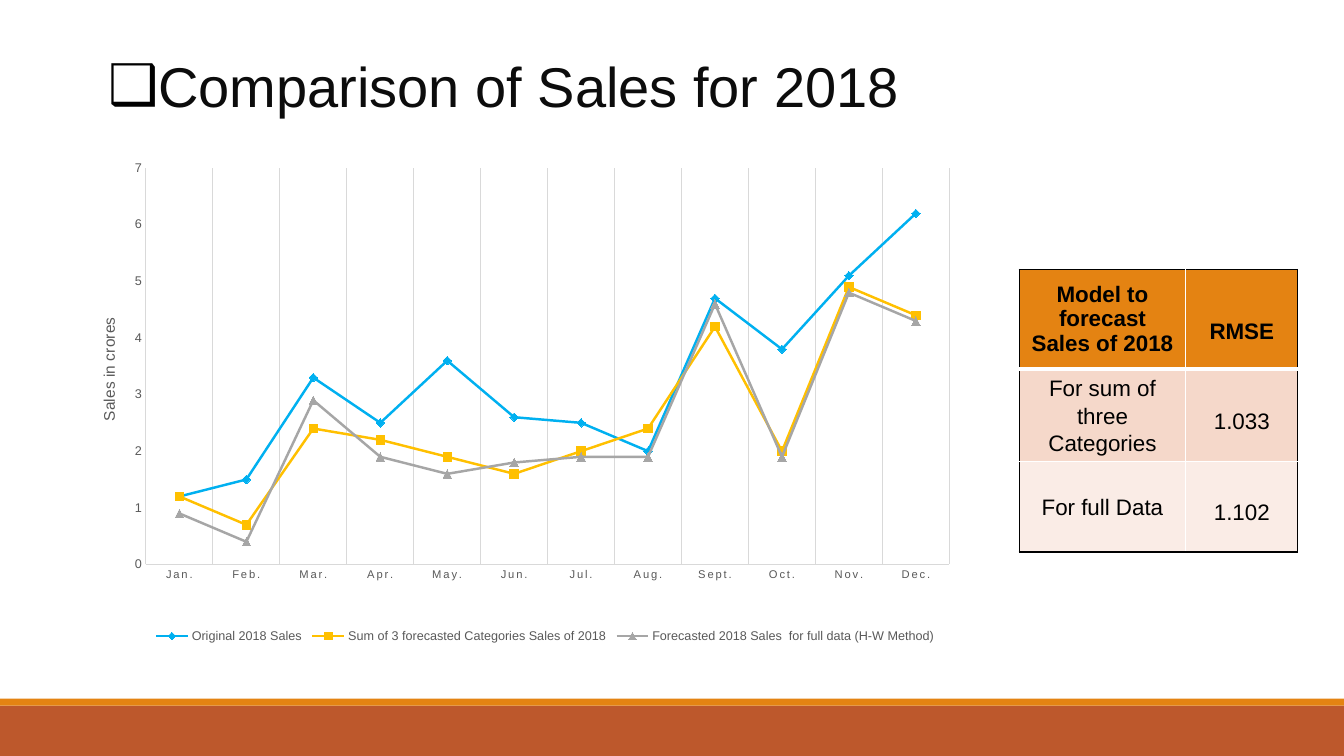
from pptx import Presentation
from pptx import util as u
from pptx.chart.data import CategoryChartData
from pptx.dml.color import RGBColor
from pptx.enum import chart as ch, shapes, text
from pptx.oxml import parse_xml
from pptx.oxml.ns import nsdecls

Pt = u.Pt
BLACK = RGBColor(0, 0, 0)
WHITE = RGBColor(0xFF, 0xFF, 0xFF)
INK = RGBColor(0x0C, 0x0C, 0x0C)
GREY = RGBColor(0x59, 0x59, 0x59)
RULE = RGBColor(0xD9, 0xD9, 0xD9)
RUST = RGBColor(0xBD, 0x58, 0x2C)
ORANGE = RGBColor(0xE4, 0x83, 0x12)
PEACH = RGBColor(0xF5, 0xD8, 0xCA)
PALE = RGBColor(0xFA, 0xEC, 0xE6)
BLUE = RGBColor(0x00, 0xB0, 0xF0)
GOLD = RGBColor(0xFF, 0xC0, 0x00)
SILVER = RGBColor(0xA6, 0xA6, 0xA6)
LIGHT = RGBColor(0xBF, 0xBF, 0xBF)

MONTHS = ["Jan.", "Feb.", "Mar.", "Apr.", "May.", "Jun.",
          "Jul.", "Aug.", "Sept.", "Oct.", "Nov.", "Dec."]
MARK = ch.XL_MARKER_STYLE
# Name, values, line colour, marker, marker colour
SALES = [
    ("Original 2018 Sales",
     [1.2, 1.5, 3.3, 2.5, 3.6, 2.6, 2.5, 2, 4.7, 3.8, 5.1, 6.2],
     BLUE, MARK.DIAMOND, BLUE),
    ("Sum of 3 forecasted Categories Sales of 2018",
     [1.2, 0.7, 2.4, 2.2, 1.9, 1.6, 2, 2.4, 4.2, 2, 4.9, 4.4],
     GOLD, MARK.SQUARE, GOLD),
    ("Forecasted 2018 Sales  for full data (H-W Method)",
     [0.9, 0.4, 2.9, 1.9, 1.6, 1.8, 1.9, 1.9, 4.6, 1.9, 4.8, 4.3],
     SILVER, MARK.TRIANGLE, LIGHT),
]
# Fill, label, value, line spacing of each
ERRORS = [
    (ORANGE, ("Model to forecast Sales of 2018", "RMSE"), (1, 1)),
    (PEACH, ("For sum of three Categories", "1.033"), (1.11, 1.5)),
    (PALE, ("For full Data", "1.102"), (1.11, 1.5)),
]


class Sheet:
    face = "Arial"

    def __init__(self, slide):
        self.slide = slide

    def font(self, font, size, color, bold=False):
        font.name, font.size, font.bold = self.face, Pt(size), bold
        font.color.rgb = color

    def bar(self, top, height, color):
        bar = self.slide.shapes.add_shape(
            shapes.MSO_SHAPE.RECTANGLE, 0, Pt(top), Pt(960), Pt(height))
        bar.shadow.inherit = False
        bar.fill.solid()
        bar.fill.fore_color.rgb = color
        bar.line.fill.background()

    def title(self, words, x, y, w, h):
        box = self.slide.shapes.title
        box.left, box.top, box.width, box.height = Pt(x), Pt(y), Pt(w), Pt(h)
        frame = box.text_frame
        frame.text = words
        frame.auto_size = text.MSO_AUTO_SIZE.NONE
        frame.vertical_anchor = text.MSO_ANCHOR.MIDDLE
        para = frame.paragraphs[0]
        para.alignment = text.PP_ALIGN.LEFT
        self.font(para.font, 40, INK)
        # Hanging box bullet
        props = para._p.get_or_add_pPr()
        props.set("marL", str(Pt(36)))
        props.set("indent", str(-Pt(36)))
        bullet = (f'<a:buClr {nsdecls("a")}><a:srgbClr val="{BLACK}"/></a:buClr>',
                  f'<a:buFont {nsdecls("a")} typeface="{self.face}"/>',
                  f'<a:buChar {nsdecls("a")} char="❑"/>')
        for spot, xml in enumerate(bullet):
            props.insert(spot, parse_xml(xml))

    def edge(self, cell, side, color, width):
        cell._tc.get_or_add_tcPr().append(parse_xml(
            f'<a:ln{side} {nsdecls("a")} w="{Pt(width)}"><a:solidFill>'
            f'<a:srgbClr val="{color}"/></a:solidFill></a:ln{side}>'))

    def table(self, rows, x, y, widths, heights):
        grid = self.slide.shapes.add_table(
            len(rows), len(widths), Pt(x), Pt(y),
            Pt(sum(widths)), Pt(sum(heights))).table
        for col, width in zip(grid.columns, widths):
            col.width = Pt(width)
        last, end = len(rows) - 1, len(widths) - 1
        for r, (fill, words, gaps) in enumerate(rows):
            grid.rows[r].height = Pt(heights[r])
            for c, word in enumerate(words):
                cell = grid.cell(r, c)
                self.edge(cell, "L", WHITE if c else BLACK, 1)
                self.edge(cell, "R", BLACK if c == end else WHITE, 1)
                self.edge(cell, "T", WHITE if r else BLACK, 3 if r == 1 else 1)
                self.edge(cell, "B", BLACK if r == last else WHITE, 1 if r else 3)
                cell.fill.solid()
                cell.fill.fore_color.rgb = fill
                cell.vertical_anchor = text.MSO_ANCHOR.MIDDLE
                cell.text = word
                para = cell.text_frame.paragraphs[0]
                para.alignment = text.PP_ALIGN.CENTER
                para.line_spacing = gaps[c]
                self.font(para.font, 16, BLACK, r == 0)
        return grid

    def place(self, part, spot, x, y, w=None, h=None, inner=False):
        for old in part.xpath("c:layout"):
            part.remove(old)
        tags = '<c:layoutTarget val="inner"/>' if inner else ""
        tags += '<c:xMode val="edge"/><c:yMode val="edge"/>'
        for name, val in zip("xywh", (x, y, w, h)):
            if val is not None:
                tags += f'<c:{name} val="{val}"/>'
        part.insert(spot, parse_xml(
            f'<c:layout {nsdecls("c")}><c:manualLayout>{tags}'
            '</c:manualLayout></c:layout>'))

    def axis(self, axis, size):
        axis.major_tick_mark = axis.minor_tick_mark = ch.XL_TICK_MARK.NONE
        axis.format.line.color.rgb = RULE
        axis.format.line.width = Pt(0.75)
        self.font(axis.tick_labels.font, size, GREY)

    def chart(self, names, series, label, x, y, w, h):
        data = CategoryChartData()
        data.categories = names
        for name, vals, *_ in series:
            data.add_series(name, vals)
        chart = self.slide.shapes.add_chart(
            ch.XL_CHART_TYPE.LINE_MARKERS, Pt(x), Pt(y), Pt(w), Pt(h), data).chart
        self.font(chart.font, 10, BLACK)
        chart.has_title = False
        chart.plots[0].vary_by_categories = False
        for line, (_, _, color, mark, tint) in zip(chart.plots[0].series, series):
            line.smooth = False
            line.format.line.color.rgb = color
            line.format.line.width = Pt(1.75)
            line.marker.style, line.marker.size = mark, 6
            line.marker.format.fill.solid()
            line.marker.format.fill.fore_color.rgb = tint
            line.marker.format.line.color.rgb = tint
        # Axes
        months, sales = chart.category_axis, chart.value_axis
        self.axis(months, 8)
        self.axis(sales, 9)
        months.has_major_gridlines = True
        months.major_gridlines.format.line.color.rgb = RULE
        months.major_gridlines.format.line.width = Pt(0.75)
        months.tick_labels.font._element.set("spc", "120")
        sales.has_major_gridlines = False
        sales.minimum_scale, sales.maximum_scale, sales.major_unit = 0, 7, 1
        frame = sales.axis_title.text_frame
        frame.text = label
        self.font(frame.paragraphs[0].font, 11, GREY)
        # Legend and layout
        chart.has_legend = True
        chart.legend.position = ch.XL_LEGEND_POSITION.TOP
        chart.legend.include_in_layout = False
        self.font(chart.legend.font, 9, GREY)
        root = chart._chartSpace
        self.place(root.xpath("//c:plotArea")[0], 0, 0.076, 0.076, 0.894, 0.715, True)
        self.place(root.xpath("//c:valAx/c:title")[0], 1, 0.02, 0.34)
        self.place(root.xpath("//c:legend")[0], 1, 0.08, 0.89, 0.88, 0.06)


def main():
    deck = Presentation()
    deck.slide_width, deck.slide_height = Pt(960), Pt(540)
    sheet = Sheet(deck.slides.add_slide(deck.slide_layouts[5]))
    # Footer bands
    sheet.bar(504, 36, RUST)
    sheet.bar(499, 5, ORANGE)
    # Heading
    sheet.title("Comparison of Sales for 2018", 70, 33, 683, 55.5)
    # Forecast errors, with the RMSE heading set lower
    grid = sheet.table(ERRORS, 728, 192.5, (119, 80), (71, 64.5, 64.5))
    grid.cell(0, 1).margin_top = Pt(22)
    # Monthly sales
    sheet.chart(MONTHS, SALES, "Sales in crores", 55.5, 90, 642, 396)
    deck.save("out.pptx")


if __name__ == "__main__":
    main()
